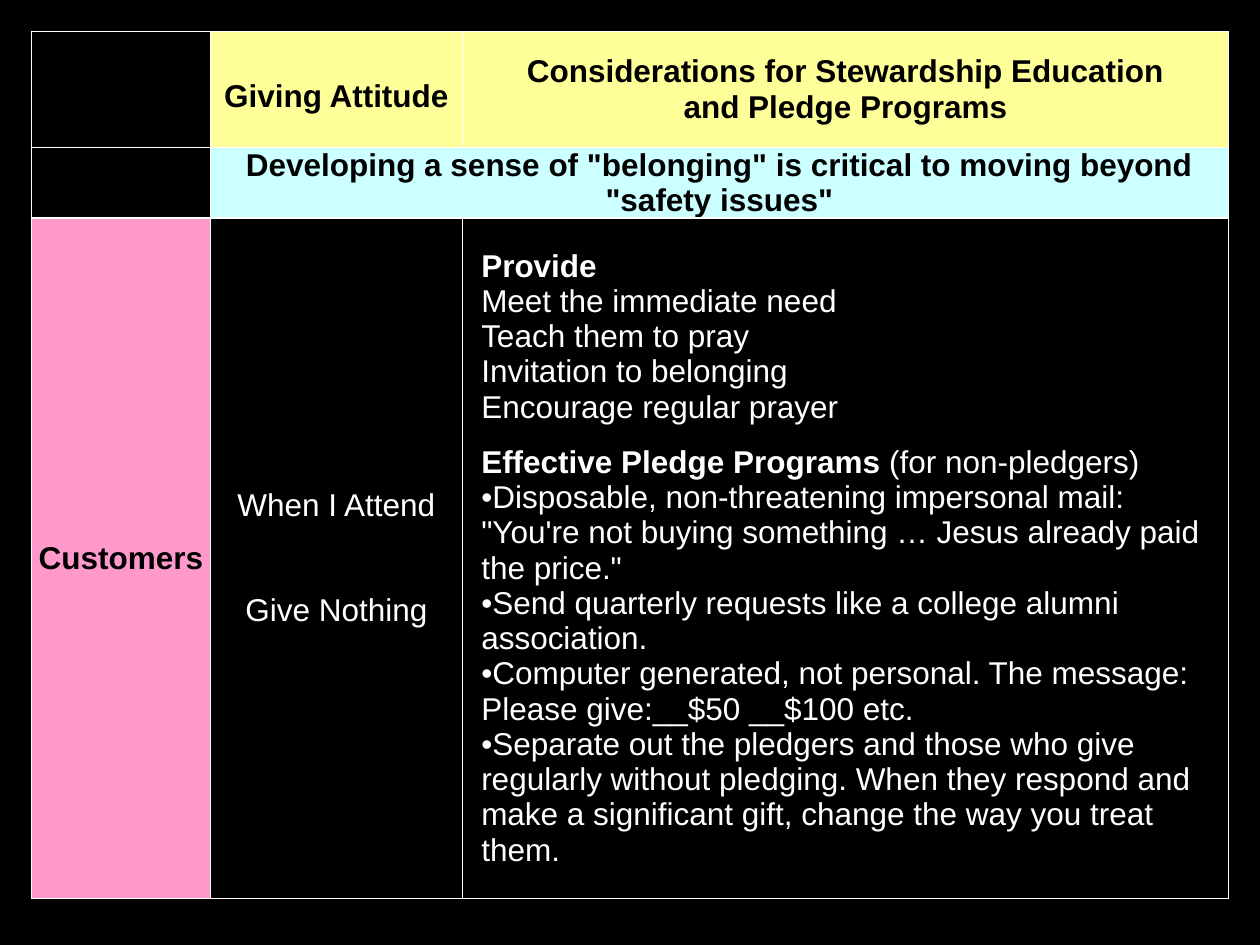
from dataclasses import dataclass

from lxml.etree import SubElement
from pptx import Presentation
from pptx.dml.color import RGBColor
from pptx.enum.text import MSO_ANCHOR, PP_ALIGN
from pptx.oxml.ns import qn
from pptx.util import Inches, Pt


@dataclass(frozen=True)
class Theme:
    font: str = "Arial"
    size: float = 18
    border_width: float = 1
    background: str = "000000"
    light: str = "FFFFFF"
    dark: str = "000000"
    heading: str = "FFFF99"
    banner: str = "CCFFFF"
    group: str = "FF99CC"


THEME = Theme()
COLUMN_WIDTHS = (1.42, 2, 6.08)
ROW_HEIGHTS = (0.92, 0.56, 5.4)

PROGRAM_PARAGRAPHS = (
    ("Provide", "\nMeet the immediate need\nTeach them to pray"
     "\nInvitation to belonging\nEncourage regular prayer"),
    ("Effective Pledge Programs\u00a0", "(for non-pledgers)"
     "\n•Disposable, non-threatening impersonal mail: \"You're not buying "
     "something … Jesus already paid the price.\""
     "\n•Send quarterly requests like a college alumni association."),
    ("", "•Computer generated, not personal. The message: "
     "Please give:__$50 __$100 etc."
     "\n•Separate out the pledgers and those who give regularly without "
     "pledging. When they respond and make a significant gift, change the "
     "way you treat them."),
)


def draw_borders(cell):
    properties = cell._tc.get_or_add_tcPr()
    for side in ("lnL", "lnR", "lnT", "lnB"):
        line = SubElement(properties, qn(f"a:{side}"), w=str(Pt(THEME.border_width)))
        fill = SubElement(line, qn("a:solidFill"))
        SubElement(fill, qn("a:srgbClr"), val=THEME.light)


def set_margins(cell, margin, top=None):
    cell.margin_left = cell.margin_right = cell.margin_bottom = Inches(margin)
    cell.margin_top = Inches(margin if top is None else top)
    cell.vertical_anchor = MSO_ANCHOR.MIDDLE


def add_text(paragraph, text, bold=None):
    for index, line in enumerate(text.split("\n")):
        if index:
            paragraph.add_line_break()
        if line:
            run = paragraph.add_run()
            run.text = line
            if bold is not None:
                run.font.bold = bold


def style_paragraph(paragraph, color, bold, alignment, gap=0):
    paragraph.alignment = alignment
    paragraph.space_before = Pt(gap)
    paragraph.font.name = THEME.font
    paragraph.font.size = Pt(THEME.size)
    paragraph.font.bold = bold
    paragraph.font.color.rgb = RGBColor.from_string(color)


def fill_label(cell, text, color, top=0):
    set_margins(cell, 0, top)
    cell.fill.solid()
    cell.fill.fore_color.rgb = RGBColor.from_string(color)
    paragraph = cell.text_frame.paragraphs[0]
    style_paragraph(paragraph, THEME.dark, True, PP_ALIGN.CENTER)
    add_text(paragraph, text)


def fill_body(cell, paragraphs, margin, alignment, gaps):
    set_margins(cell, margin)
    frame = cell.text_frame
    for index, ((lead, text), gap) in enumerate(zip(paragraphs, gaps)):
        paragraph = frame.add_paragraph() if index else frame.paragraphs[0]
        style_paragraph(paragraph, THEME.light, False, alignment, gap)
        add_text(paragraph, lead, True)
        add_text(paragraph, text)


def add_giving_table(slide, left, top):
    shape = slide.shapes.add_table(
        len(ROW_HEIGHTS), len(COLUMN_WIDTHS), Inches(left), Inches(top),
        Inches(sum(COLUMN_WIDTHS)), Inches(sum(ROW_HEIGHTS)))
    table = shape.table
    table.first_row = table.horz_banding = False
    for column, width in zip(table.columns, COLUMN_WIDTHS):
        column.width = Inches(width)
    for row, height in zip(table.rows, ROW_HEIGHTS):
        row.height = Inches(height)
    for cell in table.iter_cells():
        draw_borders(cell)
        cell.fill.background()
    table.cell(1, 1).merge(table.cell(1, 2))

    fill_label(table.cell(0, 1), "Giving Attitude", THEME.heading, top=0.11)
    fill_label(table.cell(0, 2), "Considerations for Stewardship Education"
               "\nand Pledge Programs", THEME.heading)
    fill_label(table.cell(1, 1), 'Developing a sense of "belonging" is critical '
               'to moving beyond "safety issues"', THEME.banner)
    fill_label(table.cell(2, 0), "Customers", THEME.group)
    fill_body(table.cell(2, 1), (("", "When I Attend"), ("", "Give Nothing")),
              0, PP_ALIGN.CENTER, (0, 40))
    fill_body(table.cell(2, 2), PROGRAM_PARAGRAPHS, 0.15, PP_ALIGN.LEFT, (0, 11.4, 0))


def build_presentation():
    presentation = Presentation()
    presentation.slide_width = Inches(10)
    presentation.slide_height = Inches(7.5)
    slide = presentation.slides.add_slide(presentation.slide_layouts[6])
    slide.background.fill.solid()
    slide.background.fill.fore_color.rgb = RGBColor.from_string(THEME.background)
    add_giving_table(slide, 0.25, 0.25)
    return presentation


build_presentation().save("out.pptx")
